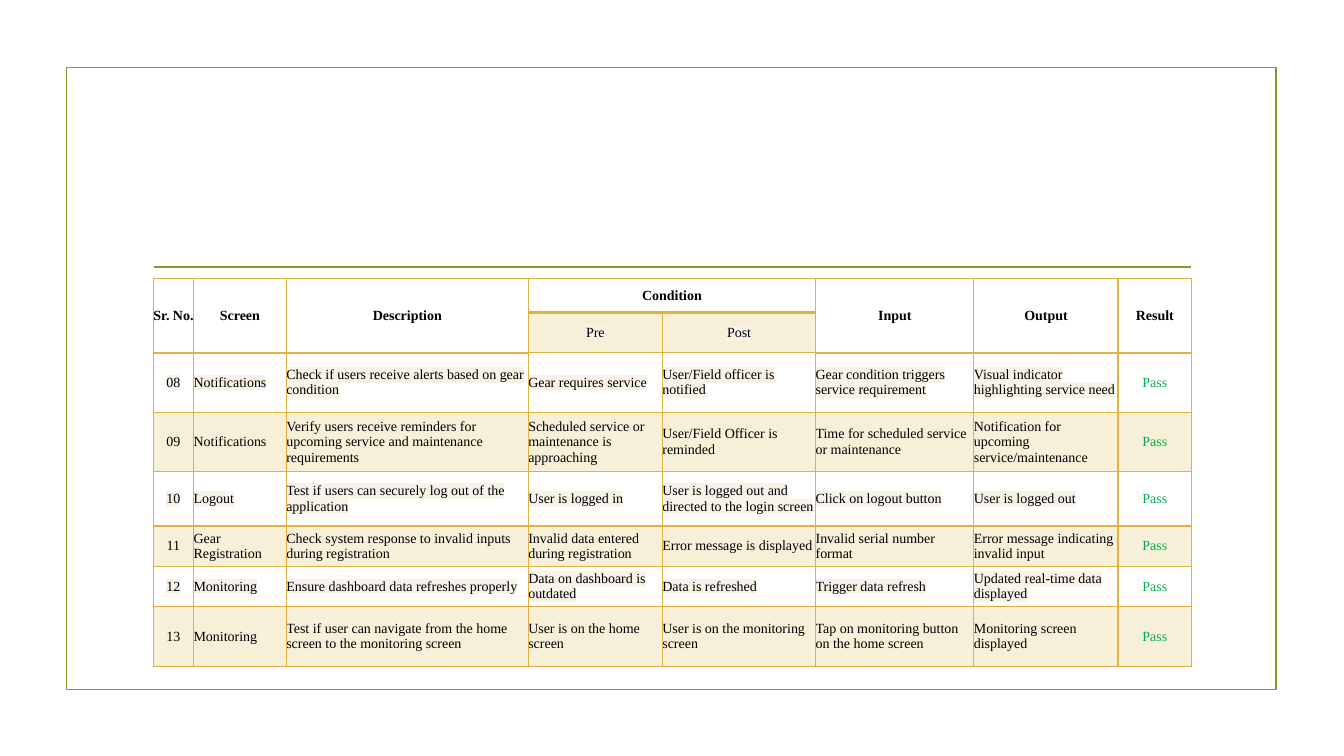
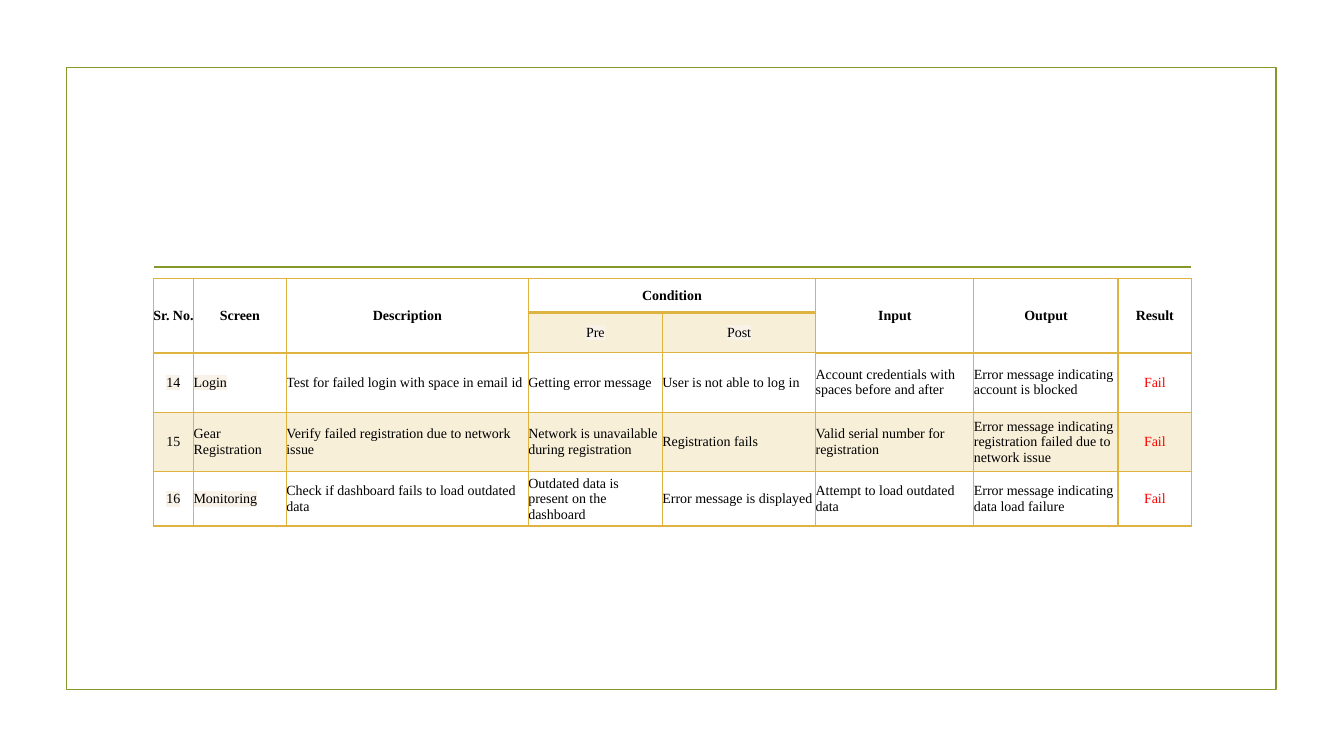
from dataclasses import astuple, dataclass
from typing import Optional

from lxml.etree import SubElement
from pptx import Presentation
from pptx.dml.color import RGBColor
from pptx.enum.shapes import MSO_CONNECTOR as CONN, MSO_SHAPE as SHAPE
from pptx.enum.text import MSO_ANCHOR as ANCHOR, PP_ALIGN as ALIGN
from pptx.oxml import parse_xml
from pptx.oxml.ns import nsdecls, qn
from pptx.util import Emu, Pt

# Shared style
GREEN = RGBColor(0x83, 0x99, 0x2A)
GOLD = RGBColor(0xDE, 0xB3, 0x40)
CREAM = RGBColor(0xF9, 0xF2, 0xE8)
BLACK = RGBColor(0, 0, 0)
RESULT_COLORS = {"Pass": RGBColor(0, 0xB0, 0x50), "Fail": RGBColor(0xFF, 0, 0)}
FONT = "Times New Roman"
TINT = 20  # opacity of the gold bands, percent

# Table grid, in px
COLS = [40, 92, 240, 133, 152, 157, 143, 73]
HEADER_ROWS = [34, 40]
HEADINGS = {0: "Sr. No.", 1: "Screen", 2: "Description", 3: "Condition",
            5: "Input", 6: "Output", 7: "Result"}
CONDITIONS = {3: "Pre", 4: "Post"}
RESULT_COL = len(COLS) - 1


def px(n: int) -> Emu:
    """100 px to the inch."""
    return Emu(n * 9144)


@dataclass
class TestCase:
    number: str
    screen: str
    description: str
    pre: str
    post: str
    given: str
    output: str
    result: str


@dataclass
class TestPage:
    row_heights: list[int]
    marked_cols: int  # leading columns whose text is highlighted in plain rows
    cases: list[TestCase]


PAGES = [
    TestPage([59, 59, 54, 40, 40, 59], RESULT_COL, [
        TestCase("08", "Notifications",
                 "Check if users receive alerts based on gear condition",
                 "Gear requires service", "User/Field officer is notified",
                 "Gear condition triggers service requirement",
                 "Visual indicator highlighting service need", "Pass"),
        TestCase("09", "Notifications",
                 "Verify users receive reminders for upcoming service and "
                 "maintenance requirements",
                 "Scheduled service or maintenance is approaching",
                 "User/Field Officer is reminded",
                 "Time for scheduled service or maintenance",
                 "Notification for upcoming service/maintenance", "Pass"),
        TestCase("10", "Logout",
                 "Test if users can securely log out of the application",
                 "User is logged in",
                 "User is logged out and directed to the login screen",
                 "Click on logout button", "User is logged out", "Pass"),
        TestCase("11", "Gear Registration",
                 "Check system response to invalid inputs during registration",
                 "Invalid data entered during registration",
                 "Error message is displayed", "Invalid serial number format",
                 "Error message indicating invalid input", "Pass"),
        TestCase("12", "Monitoring",
                 "Ensure dashboard data refreshes properly",
                 "Data on dashboard is outdated", "Data is refreshed",
                 "Trigger data refresh", "Updated real-time data displayed",
                 "Pass"),
        TestCase("13", "Monitoring",
                 "Test if user can navigate from the home screen to the "
                 "monitoring screen",
                 "User is on the home screen",
                 "User is on the monitoring screen",
                 "Tap on monitoring button on the home screen",
                 "Monitoring screen displayed", "Pass"),
    ]),
    TestPage([59, 59, 54], 2, [
        TestCase("14", "Login",
                 "Test for failed login with space in email id",
                 "Getting error message", "User is not able to log in",
                 "Account credentials with spaces before and after",
                 "Error message indicating account is blocked", "Fail"),
        TestCase("15", "Gear Registration",
                 "Verify failed registration due to network issue",
                 "Network is unavailable during registration",
                 "Registration fails", "Valid serial number for registration",
                 "Error message indicating registration failed due to "
                 "network issue", "Fail"),
        TestCase("16", "Monitoring",
                 "Check if dashboard fails to load outdated data",
                 "Outdated data is present on the dashboard",
                 "Error message is displayed", "Attempt to load outdated data",
                 "Error message indicating data load failure", "Fail"),
    ]),
]


# Frame and rule on every slide
def add_frame(s) -> None:
    frame = s.shapes.add_shape(SHAPE.RECTANGLE, px(66), px(67), px(1200), px(617))
    frame.shadow.inherit = False
    frame.fill.background()
    rule = s.shapes.add_connector(CONN.STRAIGHT, px(153), px(265), px(1181), px(265))
    SubElement(rule._element.spPr, qn("a:effectLst"))
    for shape in (frame, rule):
        shape.line.color.rgb = GREEN
        shape.line.width = Pt(1.25)
    # the effect list has to follow the line settings
    sp_pr = rule._element.spPr
    sp_pr.append(sp_pr.find(qn("a:effectLst")))


# Table cells
def style_cell(cell, banded: bool, bottom: int = 1) -> None:
    cell.margin_left = cell.margin_right = cell.margin_top = cell.margin_bottom = 0
    cell.vertical_anchor = ANCHOR.MIDDLE
    tc_pr = cell._tc.get_or_add_tcPr()
    if banded:
        cell.fill.solid()
        cell.fill.fore_color.rgb = GOLD
        color = tc_pr.find(".//" + qn("a:srgbClr"))
        SubElement(color, qn("a:alpha")).set("val", str(TINT * 1000))
    else:
        cell.fill.background()
    for i, (side, width) in enumerate(zip("LRTB", (1, 1, 1, bottom))):
        tc_pr.insert(i, parse_xml(
            f'<a:ln{side} {nsdecls("a")} w="{Pt(width)}"><a:solidFill>'
            f'<a:srgbClr val="{GOLD}"/></a:solidFill></a:ln{side}>'))


def write_cell(cell, text: str, centered: bool = True, bold: bool = False,
               color: RGBColor = BLACK, mark: Optional[RGBColor] = None) -> None:
    p = cell.text_frame.paragraphs[0]
    p.alignment = ALIGN.CENTER if centered else ALIGN.LEFT
    r = p.add_run()
    r.text = text
    r.font.size = Pt(10)
    r.font.bold = bold
    r.font.color.rgb = color
    r.font.name = FONT
    if mark is not None:
        r._r.rPr.find(qn("a:solidFill")).addnext(parse_xml(
            f'<a:highlight {nsdecls("a")}><a:srgbClr val="{mark}"/></a:highlight>'))


def add_header(table) -> None:
    for col in range(len(COLS)):
        split = col in CONDITIONS
        style_cell(table.cell(0, col), False, bottom=2)
        style_cell(table.cell(1, col), split, bottom=1 if split else 2)
        if split:
            write_cell(table.cell(1, col), CONDITIONS[col], mark=CREAM)
        else:
            table.cell(0, col).merge(table.cell(1, col))
    table.cell(0, 3).merge(table.cell(0, 4))
    for col, text in HEADINGS.items():
        write_cell(table.cell(0, col), text, bold=True)


def add_case(table, row: int, case: TestCase, banded: bool, marked_cols: int) -> None:
    for col, text in enumerate(astuple(case)):
        cell = table.cell(row, col)
        style_cell(cell, banded)
        marked = not banded and col < marked_cols
        write_cell(cell, text, centered=col in (0, RESULT_COL),
                   color=RESULT_COLORS[text] if col == RESULT_COL else BLACK,
                   mark=CREAM if marked else None)


def add_test_table(s, page: TestPage) -> None:
    heights = HEADER_ROWS + page.row_heights
    table = s.shapes.add_table(len(heights), len(COLS), px(152), px(276),
                               px(sum(COLS)), px(sum(heights))).table
    table.first_row = table.horz_banding = False
    for column, width in zip(table.columns, COLS):
        column.width = px(width)
    for row, height in zip(table.rows, heights):
        row.height = px(height)
    add_header(table)
    for i, case in enumerate(page.cases):
        add_case(table, len(HEADER_ROWS) + i, case, i % 2 == 1, page.marked_cols)


def main() -> None:
    prs = Presentation()
    prs.slide_width, prs.slide_height = px(1333), px(750)
    for page in PAGES:
        s = prs.slides.add_slide(prs.slide_layouts[6])
        add_frame(s)
        add_test_table(s, page)
    prs.save("out.pptx")


if __name__ == "__main__":
    main()
